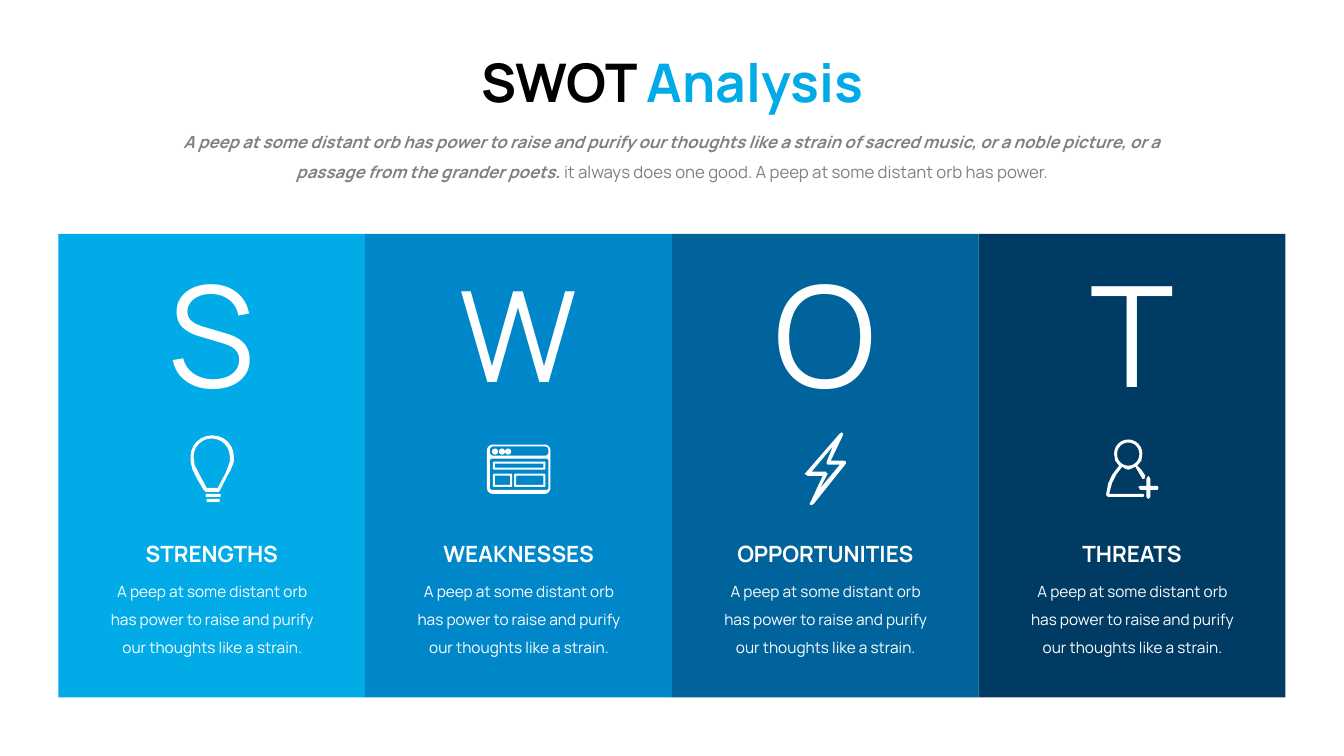
from dataclasses import dataclass
from math import cos, radians, sin

from pptx import Presentation
from pptx.dml.color import RGBColor
from pptx.enum.shapes import MSO_SHAPE
from pptx.enum.text import MSO_ANCHOR, MSO_AUTO_SIZE, PP_ALIGN
from pptx.util import Inches, Pt


@dataclass(frozen=True)
class Theme:
    font: str = "Manrope"
    black: str = "000000"
    accent: str = "00ABE7"
    gray: str = "808080"
    white: str = "FFFFFF"
    columns: tuple = ("00ABE7", "0087CA", "00639B", "003B64")
    title: int = 38
    intro: int = 12
    heading: int = 16
    body: int = 11


theme = Theme()


def write_text(shape, box, pieces, size, wrap=False, spacing=None):
    shape.left, shape.top, shape.width, shape.height = map(Inches, box)
    frame = shape.text_frame
    frame.word_wrap = wrap
    frame.auto_size = MSO_AUTO_SIZE.SHAPE_TO_FIT_TEXT
    frame.vertical_anchor = MSO_ANCHOR.TOP
    paragraph = frame.paragraphs[0]
    paragraph.alignment = PP_ALIGN.CENTER
    if spacing:
        paragraph.line_spacing = Pt(spacing)
    for text, color, bold, italic in pieces:
        run = paragraph.add_run()
        run.text = text
        run.font.name = theme.font
        run.font.size = Pt(size)
        run.font.bold = bold
        run.font.italic = italic
        run.font.color.rgb = RGBColor.from_string(color)


def outline(left, top, right, bottom, radius=0):
    corners = [
        (left + radius, top + radius, 180),
        (right - radius, top + radius, 270),
        (right - radius, bottom - radius, 0),
        (left + radius, bottom - radius, 90),
    ]
    return [
        (x + radius * cos(radians(start + turn)), y + radius * sin(radians(start + turn)))
        for x, y, start in corners
        for turn in range(0, 91, 15)
    ]


bulb = [
    outline(1.89, 4.32, 2.32, 4.75, 0.21)[:14]
    + [(2.32, 4.58), (2.29, 4.66), (2.25, 4.73), (2.18, 4.87), (2.17, 4.88), (2.04, 4.88),
       (2.02, 4.86), (1.96, 4.76), (1.91, 4.66), (1.89, 4.58)],
    outline(1.92, 4.35, 2.28, 4.71, 0.18)[:14]
    + [(2.28, 4.58), (2.24, 4.69), (2.16, 4.84), (2.05, 4.84), (1.98, 4.71), (1.93, 4.61)],
    outline(2.04, 4.9, 2.19, 4.93, 0.01),
    outline(2.05, 4.95, 2.18, 4.98, 0.01),
]
browser = [
    outline(4.83, 4.41, 5.46, 4.9, 0.06),
    outline(4.86, 4.43, 5.44, 4.52, 0.03),
    outline(4.86, 4.55, 5.44, 4.86, 0.02),
]
for left in (4.88, 4.95, 5.01):
    browser.append(outline(left, 4.45, left + 0.06, 4.51, 0.03))
for left, top, right, bottom in [
    (4.89, 4.58, 5.41, 4.66), (4.89, 4.7, 5.08, 4.83), (5.1, 4.7, 5.41, 4.83),
]:
    browser.append(outline(left, top, right, bottom, 0.01))
    browser.append(outline(left + 0.02, top + 0.02, right - 0.02, bottom - 0.02))
bolt = [
    [(8.04, 5.01), (8.05, 5.01), (8.07, 5), (8.39, 4.6), (8.39, 4.58), (8.37, 4.57),
     (8.24, 4.57), (8.36, 4.32), (8.36, 4.3), (8.35, 4.29), (8.33, 4.3), (8, 4.68),
     (7.98, 4.7), (8.01, 4.72), (8.16, 4.72), (8.04, 4.98), (8.03, 5)],
    [(8.21, 4.7), (8.2, 4.69), (8.19, 4.68), (8.05, 4.68), (8.26, 4.43), (8.2, 4.58),
     (8.2, 4.6), (8.21, 4.61), (8.33, 4.61), (8.13, 4.85)],
]
person = [
    [(11.34, 4.9), (11, 4.9), (11.03, 4.79), (11.07, 4.71), (11.13, 4.63), (11.16, 4.65),
     (11.19, 4.66), (11.22, 4.65), (11.26, 4.63), (11.29, 4.68), (11.33, 4.75),
     (11.35, 4.75), (11.36, 4.72), (11.32, 4.66), (11.28, 4.62), (11.32, 4.57)]
    + outline(11.05, 4.36, 11.33, 4.66, 0.14)[:14][::-1]
    + [(11.06, 4.57), (11.1, 4.62), (11.03, 4.71), (10.99, 4.8), (10.97, 4.91),
       (10.99, 4.93), (11.34, 4.93), (11.35, 4.91)],
    outline(11.08, 4.39, 11.3, 4.62, 0.11),
    [(11.48, 4.82), (11.41, 4.82), (11.41, 4.75), (11.39, 4.72), (11.37, 4.75),
     (11.37, 4.82), (11.31, 4.82), (11.29, 4.83), (11.31, 4.86), (11.37, 4.86),
     (11.37, 4.93), (11.39, 4.95), (11.41, 4.93), (11.41, 4.86), (11.48, 4.86),
     (11.49, 4.84)],
]

presentation = Presentation()
presentation.slide_width = Inches(13.33)
presentation.slide_height = Inches(7.5)
slide = presentation.slides.add_slide(presentation.slide_layouts[5])
shapes = slide.shapes

write_text(
    shapes.title, (4.45, 0.44, 4.44, 0.74),
    [("SWOT ", theme.black, True, False), ("Analysis", theme.accent, True, False)],
    theme.title,
)
write_text(
    shapes.add_textbox(0, 0, 0, 0), (1.59, 1.17, 10.16, 0.66),
    [
        ("A peep at some distant orb has power to raise and purify our thoughts like a strain "
         "of sacred music, or a noble picture, or a passage from the grander poets. ",
         theme.gray, True, True),
        ("it always does one good. A peep at some distant orb has power.",
         theme.gray, False, False),
    ],
    theme.intro, wrap=True, spacing=21,
)

columns_left = 0.58
column_width = (12.75 - columns_left) / 4
body = "A peep at some distant orb has power to raise and purify our thoughts like a strain."
columns = [
    ("STRENGTHS", 100, 2.41, bulb),
    ("WEAKNESSES", 90, 2.5, browser),
    ("OPPORTUNITIES", 100, 2.41, bolt),
    ("THREATS", 100, 2.41, person),
]
for index, (heading, letter_size, letter_top, icon) in enumerate(columns):
    left = columns_left + index * column_width
    center = left + column_width / 2
    panel = shapes.add_shape(
        MSO_SHAPE.RECTANGLE, Inches(left), Inches(2.32), Inches(column_width), Inches(4.6)
    )
    panel.shadow.inherit = False
    panel.fill.solid()
    panel.fill.fore_color.rgb = RGBColor.from_string(theme.columns[index])
    panel.line.fill.background()

    for text, box, size, bold, wrap, spacing in [
        (heading[0], (center - 0.8, letter_top, 1.6, 1.78), letter_size, False, False, None),
        (body, (center - 1.14, 5.63, 2.29, 0.91), theme.body, False, True, 20),
        (heading, (center - 1, 5.31, 2, 0.37), theme.heading, True, False, None),
    ]:
        write_text(
            shapes.add_textbox(0, 0, 0, 0), box, [(text, theme.white, bold, False)],
            size, wrap, spacing,
        )

    contours = [[(Inches(x), Inches(y)) for x, y in contour] for contour in icon]
    builder = shapes.build_freeform(*contours[0][0])
    for contour in contours:
        builder.move_to(*contour[0])
        builder.add_line_segments(contour[1:], close=True)
    symbol = builder.convert_to_shape()
    symbol.shadow.inherit = False
    symbol.fill.solid()
    symbol.fill.fore_color.rgb = RGBColor.from_string(theme.white)
    symbol.line.fill.background()

presentation.save("out.pptx")
